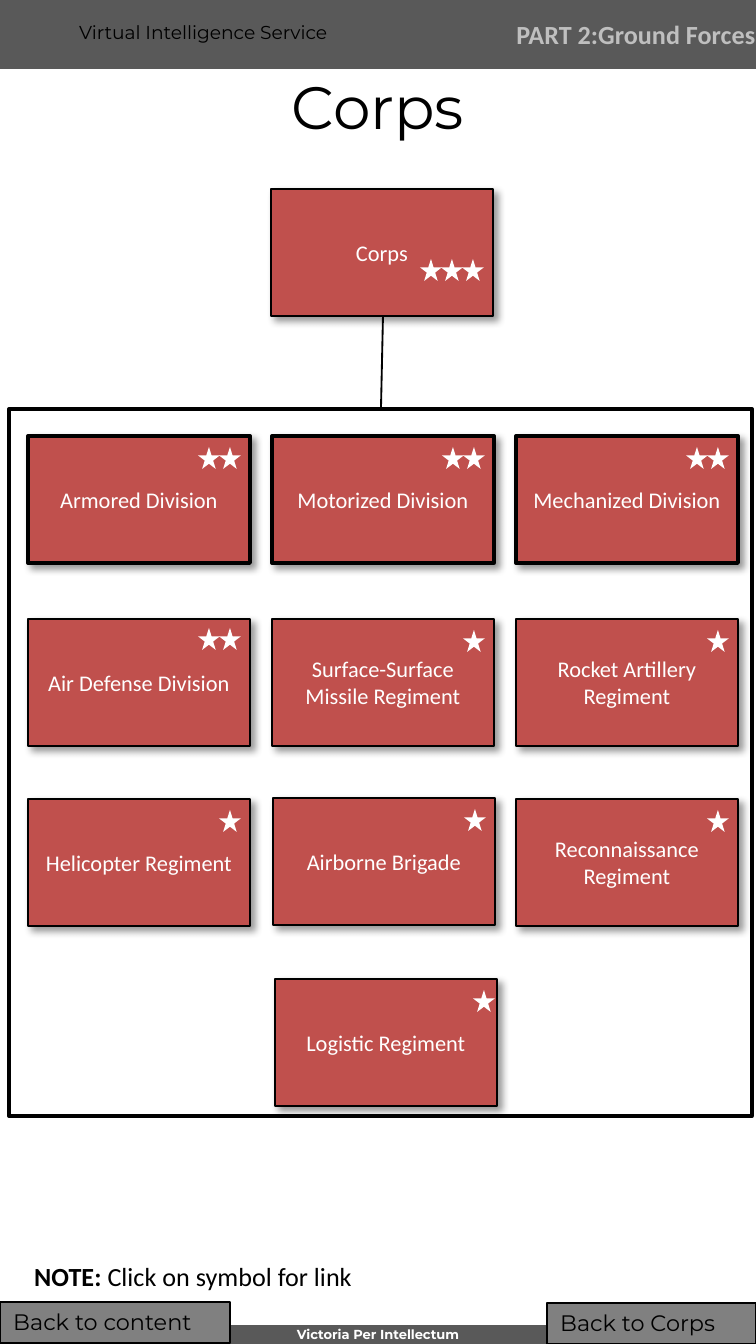
from dataclasses import dataclass

from lxml.etree import SubElement
from pptx import Presentation
from pptx.dml.color import RGBColor
from pptx.enum.shapes import MSO_CONNECTOR, MSO_SHAPE
from pptx.enum.text import MSO_ANCHOR as Anchor, PP_ALIGN as Align
from pptx.oxml.ns import qn
from pptx.util import Pt

PX = 914400 / 134.4
SLIDE_WIDTH, SLIDE_HEIGHT = 756, 1344
UNIT_WIDTH, UNIT_HEIGHT = 222, 127
STAR_SIZE, STAR_PITCH = 22, 21
COLUMNS = (28, 272, 516)
ROWS = (436, 619, 799, 979)
BLACK, WHITE = "000000", "FFFFFF"
BAR_GRAY, BUTTON_GRAY, RED = "595959", "808080", "C0504D"


@dataclass
class Unit:
    name: str
    left: int
    top: int
    stars: int = 1
    border: int = 1
    star_left: int = 191  # last star, from the left edge of the box
    star_top: int = 11


UNITS = [
    Unit("Corps", 271, 189, stars=3, star_top=70),
    Unit("Armored Division", COLUMNS[0], ROWS[0], stars=2, border=2),
    Unit("Motorized Division", COLUMNS[1], ROWS[0], stars=2, border=2),
    Unit("Mechanized Division", COLUMNS[2], ROWS[0], stars=2, border=2),
    Unit("Air Defense Division", COLUMNS[0], ROWS[1], stars=2, star_top=9),
    Unit("Surface-Surface Missile Regiment", COLUMNS[1], ROWS[1]),
    Unit("Rocket Artillery Regiment", COLUMNS[2], ROWS[1]),
    Unit("Helicopter Regiment", COLUMNS[0], ROWS[2]),
    Unit("Airborne Brigade", COLUMNS[1] + 1, ROWS[2] - 1),
    Unit("Reconnaissance Regiment", COLUMNS[2], ROWS[2]),
    Unit("Logistic Regiment", 275, ROWS[3], star_left=198),
]


def px(*lengths: int) -> list[int]:
    return [round(length * PX) for length in lengths]


def color(value: str) -> RGBColor:
    return RGBColor.from_string(value)


def write(shape, *texts: str, size: int, font="Calibri", ink=BLACK, align=Align.LEFT,
          anchor=Anchor.TOP, bold=False, margin: int | None = None) -> None:
    """Fill one paragraph; bold applies to the first text only."""
    frame = shape.text_frame
    frame.word_wrap = True
    frame.vertical_anchor = anchor
    if margin is not None:
        frame.margin_left = frame.margin_right = margin
        frame.margin_top = frame.margin_bottom = margin
    paragraph = frame.paragraphs[0]
    paragraph.alignment = align
    for index, text in enumerate(texts):
        run = paragraph.add_run()
        run.text = text
        run.font.name = font
        run.font.size = Pt(size)
        run.font.bold = bold and index == 0
        run.font.color.rgb = color(ink)


def add_text(slide, box: tuple[int, int, int, int], *texts: str, **text_format) -> None:
    write(slide.shapes.add_textbox(*px(*box)), *texts, **text_format)


def add_box(slide, box: tuple[int, int, int, int], fill: str | None = None, border=0,
            kind=MSO_SHAPE.RECTANGLE):
    shape = slide.shapes.add_shape(kind, *px(*box))
    shape.shadow.inherit = False
    if fill:
        shape.fill.solid()
        shape.fill.fore_color.rgb = color(fill)
    else:
        shape.fill.background()
    if border:
        shape.line.color.rgb = color(BLACK)
        shape.line.width = Pt(border)
    else:
        shape.line.fill.background()
    return shape


def add_drop_shadow(shape) -> None:
    effects = shape._element.spPr.find(qn("a:effectLst"))
    shadow = SubElement(effects, qn("a:outerShdw"), blurRad=str(Pt(4)), dist=str(Pt(3)),
                        dir="2700000", algn="tl", rotWithShape="0")
    black = SubElement(shadow, qn("a:srgbClr"), val=BLACK)
    SubElement(black, qn("a:alpha"), val="40000")


def add_unit(slide, unit: Unit) -> None:
    box = add_box(slide, (unit.left, unit.top, UNIT_WIDTH, UNIT_HEIGHT), RED, unit.border)
    add_drop_shadow(box)
    write(box, unit.name, size=12, ink=WHITE, align=Align.CENTER, anchor=Anchor.MIDDLE)
    for index in range(unit.stars):
        left = unit.left + unit.star_left - index * STAR_PITCH
        add_box(slide, (left, unit.top + unit.star_top, STAR_SIZE, STAR_SIZE), WHITE,
                kind=MSO_SHAPE.STAR_5_POINT)


def add_line(slide, *ends: int) -> None:
    line = slide.shapes.add_connector(MSO_CONNECTOR.STRAIGHT, *px(*ends))
    line.line.color.rgb = color(BLACK)
    line.line.width = Pt(1)
    SubElement(line._element.spPr, qn("a:effectLst"))


def add_button(slide, box: tuple[int, int, int, int], text: str) -> None:
    write(add_box(slide, box, BUTTON_GRAY, border=1), text, size=12, font="Montserrat")


def main() -> None:
    presentation = Presentation()
    presentation.slide_width, presentation.slide_height = px(SLIDE_WIDTH, SLIDE_HEIGHT)
    slide = presentation.slides.add_slide(presentation.slide_layouts[5])

    title = slide.shapes.title
    title.left, title.top, title.width, title.height = px(0, 69, SLIDE_WIDTH, 74)
    write(title, "Corps", size=32, font="Montserrat", align=Align.CENTER,
          anchor=Anchor.MIDDLE)

    add_box(slide, (0, 0, SLIDE_WIDTH, 69), BAR_GRAY)
    add_box(slide, (0, 1325, SLIDE_WIDTH, 19), BAR_GRAY)
    add_text(slide, (66, 14, 519, 36), "Virtual Intelligence Service", size=10,
             font="Montserrat")
    add_text(slide, (495, 0, 282, 69), "PART 2:Ground Forces", size=14, ink="BFBFBF",
             bold=True, align=Align.CENTER, anchor=Anchor.MIDDLE)
    add_text(slide, (0, 1326, SLIDE_WIDTH, 16), "Victoria Per Intellectum", size=7,
             font="Montserrat", ink=WHITE, bold=True, align=Align.CENTER, margin=0)

    add_box(slide, (9, 409, 743, 707), border=2)
    add_line(slide, 383, 316, 381, 409)
    for unit in UNITS:
        add_unit(slide, unit)

    add_text(slide, (21, 1254, 494, 46), "NOTE: ", "Click on symbol for link", size=14,
             bold=True)
    add_button(slide, (0, 1302, 230, 41), "Back to content")
    add_button(slide, (547, 1303, 209, 41), "Back to Corps")
    presentation.save("out.pptx")


if __name__ == "__main__":
    main()
